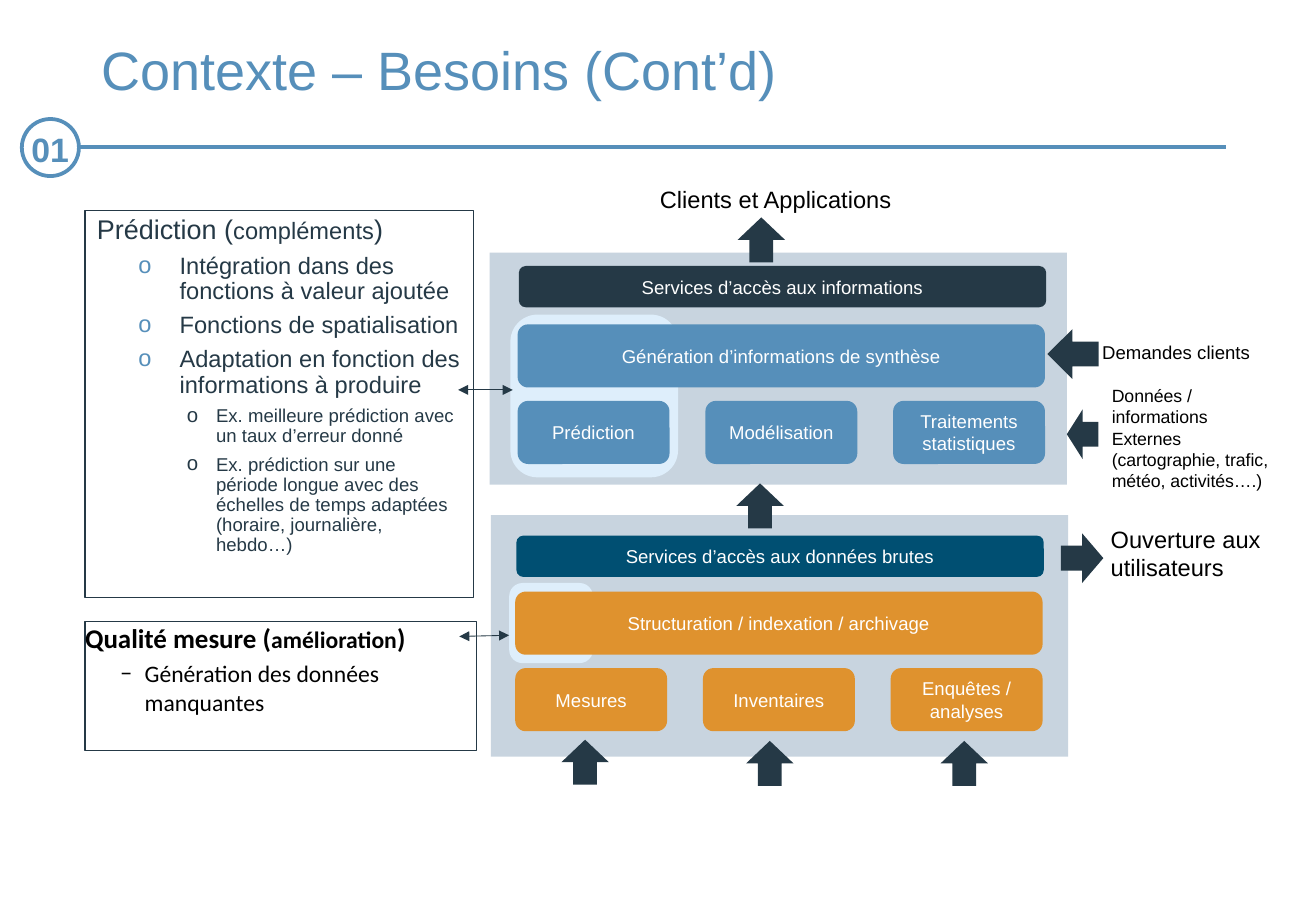
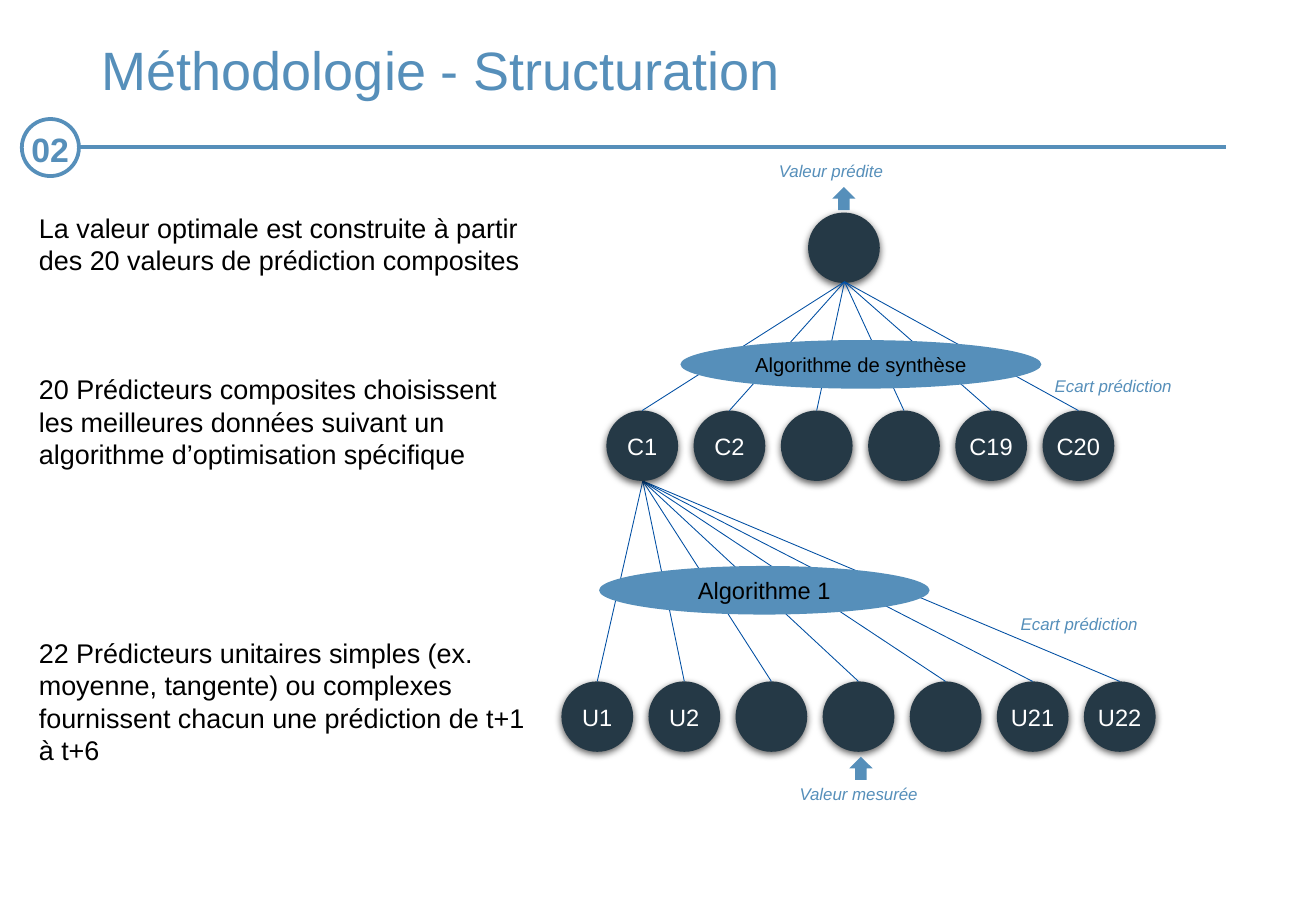
import pptx
import pptx.util
import pptx.dml.color
import pptx.enum.shapes
import pptx.enum.text
import pptx.oxml
import pptx.oxml.ns
from lxml import etree

Inches = pptx.util.Inches
Pt = pptx.util.Pt
SHAPES = pptx.enum.shapes.MSO_SHAPE
ALIGN = pptx.enum.text.PP_ALIGN
ANCHOR = pptx.enum.text.MSO_ANCHOR
COLORS = {
    "blue": "568FBA", "navy": "253946", "teal": "004F72", "orange": "DF922E",
    "panel": "C8D4DF", "halo": "DEEEFB", "link": "004FA3",
    "black": "000000", "white": "FFFFFF",
}
CIRCLE_WIDTH, CIRCLE_HEIGHT = 0.59, 0.58


def rgb(name):
    return pptx.dml.color.RGBColor.from_string(COLORS[name])


def add_xml(parent, tag, **attributes):
    element = etree.SubElement(parent, pptx.oxml.ns.qn(tag))
    for key, value in attributes.items():
        element.set(key, str(value))
    return element


def add_shape(slide, kind, box, fill=None, line=None, line_width=0.75):
    shape = slide.shapes.add_shape(kind, *map(Inches, box))
    shape.shadow.inherit = False
    if fill:
        shape.fill.solid()
        shape.fill.fore_color.rgb = rgb(fill)
    else:
        shape.fill.background()
    if line:
        shape.line.color.rgb = rgb(line)
        shape.line.width = Pt(line_width)
    else:
        shape.line.fill.background()
    return shape


def add_line(slide, start, end, color, width, arrows=False):
    line = slide.shapes.add_connector(
        pptx.enum.shapes.MSO_CONNECTOR.STRAIGHT, *map(Inches, (*start, *end)))
    line.line.color.rgb = rgb(color)
    line.line.width = Pt(width)
    if arrows:
        outline = line.line._get_or_add_ln()
        add_xml(outline, "a:headEnd", type="triangle")
        add_xml(outline, "a:tailEnd", type="triangle")
    add_xml(line._element.spPr, "a:effectLst")


def format_run(run, size, color, font="Arial", bold=False, italic=False):
    run.font.size = Pt(size)
    run.font.name = font
    run.font.color.rgb = rgb(color)
    run.font.bold = bold
    run.font.italic = italic


def set_margins(frame, horizontal, vertical):
    frame.margin_left = frame.margin_right = Inches(horizontal)
    frame.margin_top = frame.margin_bottom = Inches(vertical)


def write(shape, text, size, color, centered=False, anchor=ANCHOR.TOP,
          wrap=True, **style):
    frame = shape.text_frame
    frame.word_wrap = wrap
    frame.vertical_anchor = anchor
    frame.text = text
    for paragraph in frame.paragraphs:
        paragraph.alignment = ALIGN.CENTER if centered else ALIGN.LEFT
        for run in paragraph.runs:
            format_run(run, size, color, **style)
    return frame


def add_label(slide, box, text, size, color="black", anchor=ANCHOR.TOP, **style):
    label = slide.shapes.add_textbox(*map(Inches, box))
    frame = write(label, text, size, color, anchor=anchor, **style)
    set_margins(frame, 0, 0)
    return frame


def add_block(slide, box, text, fill):
    block = add_shape(slide, SHAPES.ROUNDED_RECTANGLE, box, fill)
    write(block, text, 11, "white", centered=True, anchor=ANCHOR.MIDDLE)


def add_base(presentation, title, number):
    slide = presentation.slides.add_slide(presentation.slide_layouts[6])
    add_shape(slide, SHAPES.OVAL, (0.18, 0.98, 0.47, 0.47), None, "blue", 2.25)
    add_line(slide, (0.64, 1.21), (10.09, 1.21), "blue", 2.25)
    frame = add_label(slide, (0.74, 0.2, 9.34, 0.8), title, 32, "blue", ANCHOR.MIDDLE)
    set_margins(frame, 0.1, 0.05)
    frame.paragraphs[0].line_spacing = 0.9
    frame = add_label(slide, (0.16, 1.01, 0.54, 0.44), number, 20, "blue",
                      wrap=False, bold=True)
    set_margins(frame, 0.1, 0.05)
    return slide


def add_heading(frame, parts, **style):
    paragraph = frame.paragraphs[0]
    paragraph.alignment = ALIGN.LEFT
    for text, size in parts:
        run = paragraph.add_run()
        run.text = text
        format_run(run, size, **style)
    return paragraph


def add_bullet(frame, text, size, level, left, hanging, symbol, symbol_color,
               space, color, font="Arial", symbol_size=100):
    paragraph = frame.add_paragraph()
    paragraph.text = text
    paragraph.level = level
    paragraph.alignment = ALIGN.LEFT
    paragraph.space_before = Pt(space)
    properties = paragraph._p.get_or_add_pPr()
    properties.set("marL", str(Inches(left)))
    properties.set("indent", str(-Inches(hanging)))
    bullet_color = add_xml(properties, "a:buClr")
    add_xml(bullet_color, "a:srgbClr", val=COLORS[symbol_color])
    add_xml(properties, "a:buSzPct", val=symbol_size * 1000)
    add_xml(properties, "a:buFont", typeface=font)
    add_xml(properties, "a:buChar", char=symbol)
    format_run(paragraph.runs[0], size, color, font)
    return paragraph


def add_prediction_box(slide, box):
    frame = add_shape(slide, SHAPES.RECTANGLE, box, None, "navy").text_frame
    frame.word_wrap = True
    frame.vertical_anchor = ANCHOR.TOP
    add_heading(frame, [("Prédiction (", 16), ("compléments", 14), (")", 16)], color="navy")
    for text in ("Intégration dans des fonctions à valeur ajoutée",
                 "Fonctions de spatialisation",
                 "Adaptation en fonction des informations à produire"):
        add_bullet(frame, text, 14, 1, 0.68, 0.34, "o", "blue", 5, "navy")
    for text in ("Ex. meilleure prédiction avec un taux d’erreur donné",
                 "Ex. prédiction sur une période longue avec des échelles de temps "
                 "adaptées (horaire, journalière, hebdo…)"):
        add_bullet(frame, text, 11, 2, 0.98, 0.24, "o", "navy", 5, "navy", symbol_size=110)
    for paragraph in frame.paragraphs:
        paragraph.line_spacing = 0.9


def add_quality_box(slide, box):
    frame = add_shape(slide, SHAPES.RECTANGLE, box, None, "navy").text_frame
    frame.word_wrap = True
    frame.vertical_anchor = ANCHOR.TOP
    set_margins(frame, 0, 0)
    add_heading(frame, [("Qualité mesure (", 16), ("amélioration", 14), (")", 16)],
                color="black", font="Calibri", bold=True)
    add_bullet(frame, "Génération des données manquantes", 14, 1, 0.49, 0.2,
               "−", "black", 3, "black", "Calibri")


def add_layer(slide, box, halo, inset, offsets, service, main, parts, service_fill, fill):
    left, top = box[:2]
    service_top, main_top, parts_top = offsets
    full_width, part_width, height = 4.34, 1.25, 0.52
    add_shape(slide, SHAPES.RECTANGLE, box, "panel")
    add_shape(slide, SHAPES.ROUNDED_RECTANGLE,
              (left + halo[0], top + halo[1], *halo[2:]), "halo")
    pitch = (full_width - part_width) / (len(parts) - 1)
    for index, text in enumerate(parts):
        add_block(slide, (left + inset + index * pitch, top + parts_top, part_width, height),
                  text, fill)
    add_block(slide, (left + inset, top + main_top, full_width, height), main, fill)
    add_block(slide, (left + inset + 0.01, top + service_top, full_width, 0.34),
              service, service_fill)


def add_flows(slide):
    for left, top in ((6.06, 3.98), (6.07, 1.79), (7.74, 6.1), (6.14, 6.1), (4.62, 6.09)):
        add_shape(slide, SHAPES.UP_ARROW, (left, top, 0.39, 0.37), "navy")
    add_shape(slide, SHAPES.RIGHT_ARROW, (8.73, 4.39, 0.35, 0.41), "navy")
    for box in ((8.78, 3.37, 0.26, 0.41), (8.62, 2.71, 0.42, 0.41)):
        add_shape(slide, SHAPES.LEFT_ARROW, box, "navy")
    add_label(slide, (5.43, 1.52, 2.1, 0.37), "Clients et Applications", 14)
    add_label(slide, (9.07, 2.65, 1.4, 0.49), "Demandes clients", 11, anchor=ANCHOR.MIDDLE)
    add_label(slide, (9.14, 4.32, 1.5, 0.58), "Ouverture aux\nutilisateurs", 14)
    add_label(slide, (9.15, 3.17, 1.37, 1),
              "Données / informations\nExternes\n(cartographie, trafic, météo, activités….)", 10.5)
    add_line(slide, (3.78, 5.24), (4.19, 5.23), "navy", 0.5, True)
    add_line(slide, (3.77, 3.21), (4.22, 3.21), "navy", 0.5, True)


def build_context(presentation):
    slide = add_base(presentation, "Contexte – Besoins (Cont’d)", "01")
    add_prediction_box(slide, (0.7, 1.73, 3.2, 3.19))
    add_quality_box(slide, (0.7, 5.12, 3.22, 1.06))
    add_layer(slide, (4.04, 4.24, 4.75, 1.99), (0.15, 0.56, 0.69, 0.66), 0.2,
              (0.17, 0.63, 1.26), "Services d’accès aux données brutes",
              "Structuration / indexation / archivage",
              ("Mesures", "Inventaires", "Enquêtes / analyses"), "teal", "orange")
    add_layer(slide, (4.03, 2.08, 4.75, 1.91), (0.17, 0.51, 1.38, 1.34), 0.23,
              (0.11, 0.59, 1.22), "Services d’accès aux informations",
              "Génération d’informations de synthèse",
              ("Prédiction", "Modélisation", "Traitements statistiques"), "navy", "blue")
    add_flows(slide)


def add_circle(slide, left, top, text=""):
    circle = add_shape(slide, SHAPES.OVAL, (left, top, CIRCLE_WIDTH, CIRCLE_HEIGHT), "navy")
    effects = circle._element.spPr.find(pptx.oxml.ns.qn("a:effectLst"))
    shadow = add_xml(effects, "a:outerShdw", blurRad=Pt(4.5), dist=Pt(1.5),
                     dir=5400000, rotWithShape=0)
    shadow_color = add_xml(shadow, "a:srgbClr", val=COLORS["black"])
    add_xml(shadow_color, "a:alpha", val=63000)
    if text:
        write(circle, text, 14, "white", centered=True, anchor=ANCHOR.MIDDLE, wrap=False)


def add_tree_level(slide, left, top, width, labels, parent, algorithm, size, oval):
    pitch = (width - CIRCLE_WIDTH) / (len(labels) - 1)
    for index, label in enumerate(labels):
        child_left = left + index * pitch
        add_circle(slide, child_left, top, label)
        add_line(slide, (child_left + CIRCLE_WIDTH / 2, top), parent, "link", 0.5)
    ellipse = add_shape(slide, SHAPES.OVAL, oval, "blue")
    write(ellipse, algorithm, size, "black", centered=True, anchor=ANCHOR.MIDDLE)


def build_method(presentation):
    slide = add_base(presentation, "Méthodologie - Structuration", "02")
    for top, width, text in (
            (1.74, 4.09, "La valeur optimale est construite à partir des 20 valeurs de "
                         "prédiction composites"),
            (3.07, 4.09, "20 Prédicteurs composites choisissent les meilleures données "
                         "suivant un algorithme d’optimisation spécifique"),
            (5.24, 4.17, "22 Prédicteurs unitaires simples (ex. moyenne, tangente) ou "
                         "complexes fournissent chacun une prédiction de t+1 à t+6")):
        add_label(slide, (0.32, top, width, 1.25), text, 16)
    add_tree_level(slide, 4.62, 5.61, 4.89, ("U1", "U2", "", "", "", "U21", "U22"),
                   (5.29, 3.96), "Algorithme 1", 14, (4.93, 4.66, 2.72, 0.4))
    add_circle(slide, 6.65, 1.75)
    add_tree_level(slide, 4.99, 3.38, 4.18, ("C1", "C2", "", "", "C19", "C20"),
                   (6.95, 2.32), "Algorithme de synthèse", 12, (5.6, 2.8, 2.97, 0.4))
    for left, top in ((6.85, 1.54), (6.99, 6.23)):
        add_shape(slide, SHAPES.UP_ARROW, (left, top, 0.19, 0.19), "blue")
    for left, top, text in ((6.41, 1.32, "Valeur prédite"), (6.58, 6.45, "Valeur mesurée"),
                            (8.4, 5.05, "Ecart prédiction"), (8.68, 3.09, "Ecart prédiction")):
        add_label(slide, (left, top, 1.2, 0.21), text, 10, "blue", italic=True)


def main():
    presentation = pptx.Presentation()
    presentation.slide_width = Inches(10.83)
    presentation.slide_height = Inches(7.5)
    build_context(presentation)
    build_method(presentation)
    presentation.save("out.pptx")


if __name__ == "__main__":
    main()
